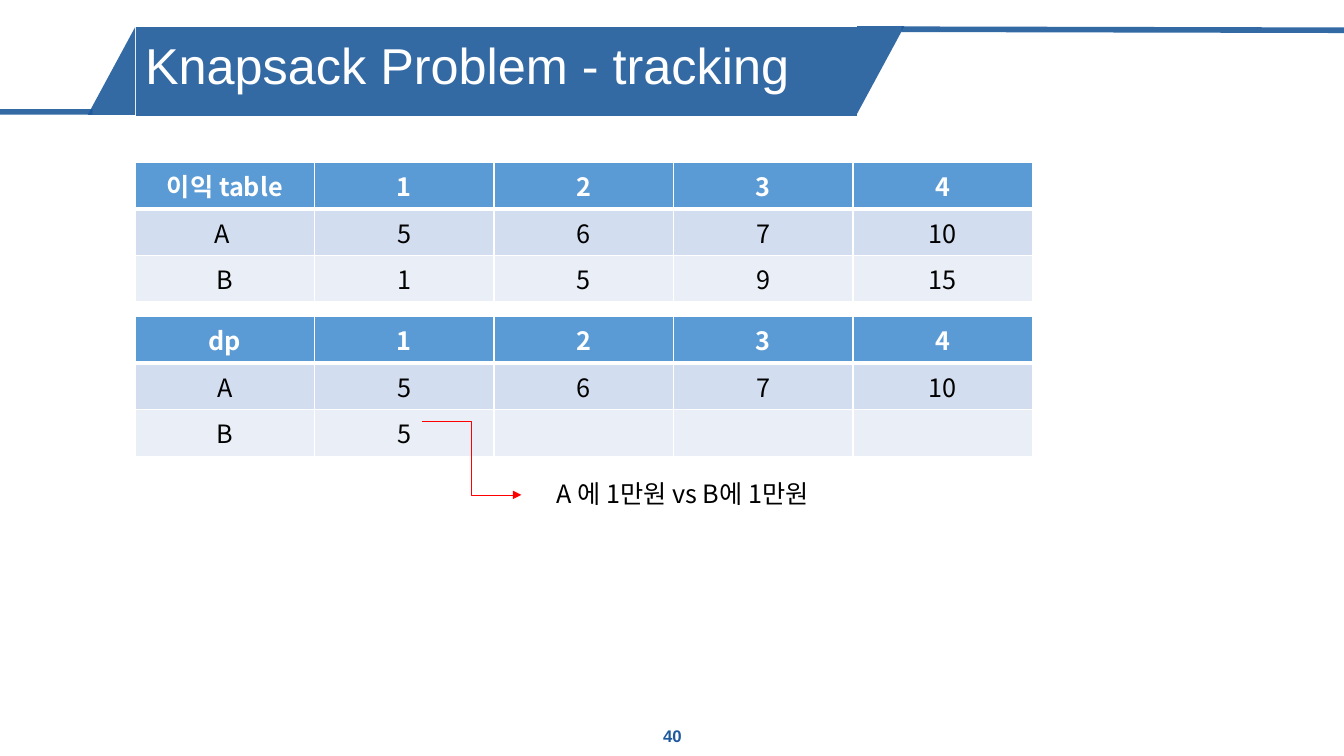
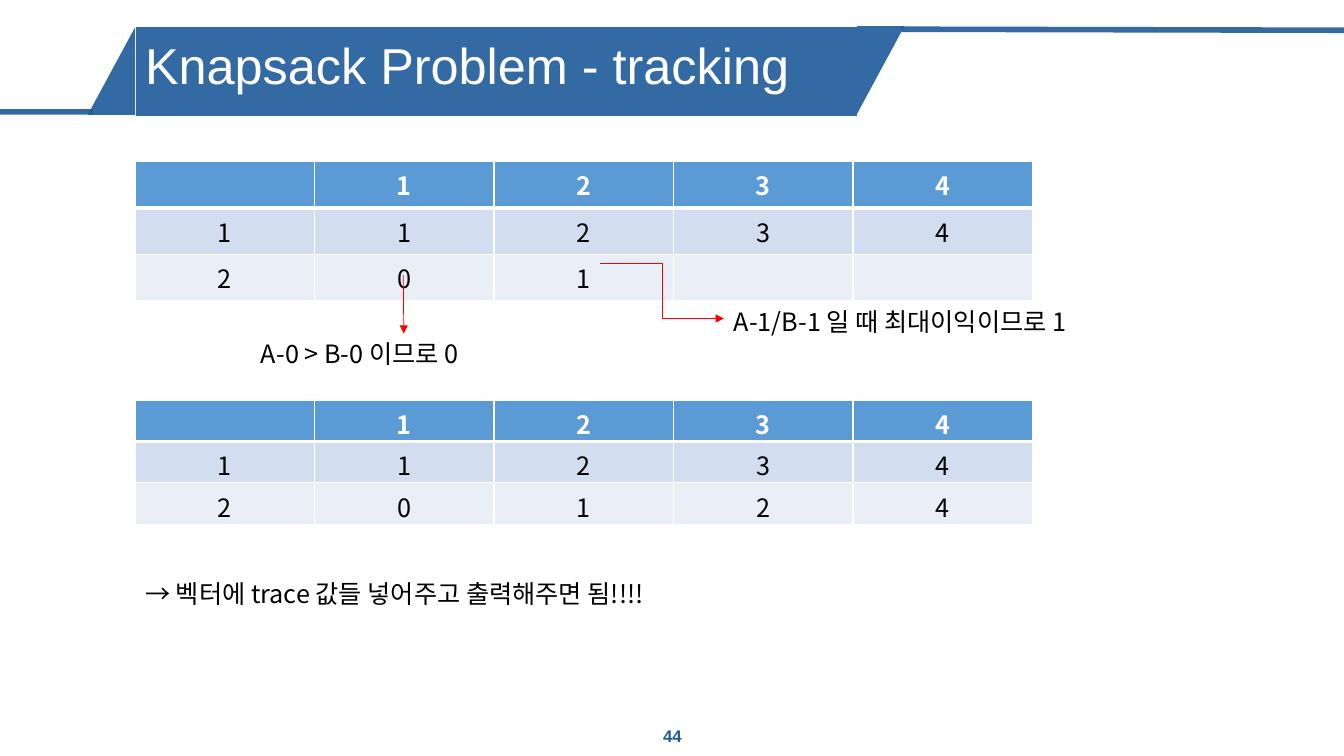
from lxml.etree import SubElement
from pptx import Presentation
from pptx.dml.color import RGBColor
from pptx.enum.shapes import MSO_CONNECTOR as Connector, MSO_SHAPE as Shape
from pptx.enum.text import MSO_ANCHOR as Anchor, MSO_AUTO_SIZE as AutoSize, PP_ALIGN as Align
from pptx.oxml.ns import qn
from pptx.util import Inches, Pt

BLUE = RGBColor(0x1E, 0x5A, 0x9B)
HEADER = RGBColor(0x5B, 0x9B, 0xD5)
BAND_DARK = RGBColor(0xD2, 0xDE, 0xEF)
BAND_LIGHT = RGBColor(0xEA, 0xEF, 0xF7)
RED = RGBColor(0xFF, 0x00, 0x00)
BLACK = RGBColor(0x00, 0x00, 0x00)
WHITE = RGBColor(0xFF, 0xFF, 0xFF)
TITLE_FONT = "Arial"
BODY_FONT = "Noto Sans CJK KR"
LEFT = 1.34
COLUMN_WIDTH = 1.78
ROW_HEIGHT = 0.41


class Deck:
    """Holds the shared style and the slide being built."""

    def __init__(self):
        self.presentation = Presentation()
        self.presentation.slide_width = Inches(13.33)
        self.presentation.slide_height = Inches(7.5)
        self.slide = None

    def add_slide(self, title, number):
        self.slide = self.presentation.slides.add_slide(self.presentation.slide_layouts[6])
        self.block(Shape.RIGHT_TRIANGLE, 8.3, 0.46, 0.87, 0.47, 90)
        self.band_line((0.92, 1.11), (-0.03, 1.11))
        self.block(Shape.RIGHT_TRIANGLE, 0.67, 0.47, 0.87, 0.47, 270)
        self.band_line((13.33, 0.3), (8.94, 0.29))
        self.block(Shape.RECTANGLE, 1.35, 0.27, 7.15, 0.88)
        self.label(number, 5.17, 7.1, 3, 0.4, size=12, font=TITLE_FONT, color=BLUE,
                   bold=True, align=Align.CENTER, anchor=Anchor.MIDDLE)
        heading = self.label(title, LEFT, 0.27, 7.15, 0.81, size=36, font=TITLE_FONT,
                             color=WHITE, anchor=Anchor.MIDDLE)
        heading.text_frame.paragraphs[0].line_spacing = 0.9

    def fade(self, shape):
        for color in shape._element.spPr.iter(qn("a:srgbClr")):
            SubElement(color, qn("a:alpha"), val="90000")

    def block(self, kind, left, top, width, height, rotation=0):
        shape = self.slide.shapes.add_shape(
            kind, Inches(left), Inches(top), Inches(width), Inches(height))
        shape.rotation = rotation
        shape.shadow.inherit = False
        shape.fill.solid()
        shape.fill.fore_color.rgb = BLUE
        shape.line.fill.background()
        self.fade(shape)

    def connector(self, kind, start, end, color, width):
        connector = self.slide.shapes.add_connector(
            kind, *(Inches(value) for value in (*start, *end)))
        connector.line.color.rgb = color
        connector.line.width = Pt(width)
        SubElement(connector._element.spPr, qn("a:effectLst"))
        return connector

    def band_line(self, start, end):
        self.fade(self.connector(Connector.STRAIGHT, start, end, BLUE, 4))

    def arrow(self, kind, start, end):
        connector = self.connector(kind, start, end, RED, 0.5)
        SubElement(connector.line._get_or_add_ln(), qn("a:tailEnd"), type="triangle")
        return connector

    def add_text(self, paragraph, text, size, font, color, bold):
        run = paragraph.add_run()
        run.text = text
        run.font.size = Pt(size)
        run.font.name = font
        run.font.bold = bold
        run.font.color.rgb = color
        SubElement(run._r.get_or_add_rPr(), qn("a:ea"), typeface=font)

    def label(self, text, left, top, width, height=0.4, size=18, font=BODY_FONT,
              color=BLACK, bold=False, align=Align.LEFT, anchor=Anchor.TOP):
        box = self.slide.shapes.add_textbox(
            Inches(left), Inches(top), Inches(width), Inches(height))
        frame = box.text_frame
        frame.word_wrap = True
        frame.vertical_anchor = anchor
        frame.auto_size = AutoSize.SHAPE_TO_FIT_TEXT if anchor == Anchor.TOP else AutoSize.NONE
        paragraph = frame.paragraphs[0]
        paragraph.alignment = align
        self.add_text(paragraph, text, size, font, color, bold)
        return box

    def border(self, cell, side, width):
        line = SubElement(cell._tc.get_or_add_tcPr(), qn(f"a:ln{side}"), w=str(Pt(width)))
        fill = SubElement(line, qn("a:solidFill"))
        SubElement(fill, qn("a:srgbClr"), val=str(WHITE))

    def table(self, top, rows, bottom_margin=0.05):
        count = len(rows[0])
        table = self.slide.shapes.add_table(
            len(rows), count, Inches(LEFT), Inches(top),
            Inches(COLUMN_WIDTH * count), Inches(ROW_HEIGHT * len(rows))).table
        for column in table.columns:
            column.width = Inches(COLUMN_WIDTH)
        for row_index, (row, fill) in enumerate(zip(rows, (HEADER, BAND_DARK, BAND_LIGHT))):
            table.rows[row_index].height = Inches(ROW_HEIGHT)
            is_header = row_index == 0
            widths = {"L": 1, "R": 1, "T": 3 if row_index == 1 else 1, "B": 3 if is_header else 1}
            for column_index, text in enumerate(row):
                cell = table.cell(row_index, column_index)
                cell.margin_bottom = Inches(bottom_margin)
                for side, width in widths.items():
                    self.border(cell, side, width)
                cell.fill.solid()
                cell.fill.fore_color.rgb = fill
                paragraph = cell.text_frame.paragraphs[0]
                paragraph.alignment = Align.CENTER
                if text:
                    self.add_text(paragraph, text, 18, BODY_FONT,
                                  WHITE if is_header else BLACK, is_header)


def main():
    deck = Deck()
    title = "Knapsack Problem - tracking"
    numbers = ["1", "2", "3", "4"]
    profit_a = ["5", "6", "7", "10"]

    deck.add_slide(title, "40")
    deck.table(1.61, [["이익 table", *numbers], ["A ", *profit_a], ["B", "1", "5", "9", "15"]])
    deck.table(3.14, [["dp", *numbers], ["A", *profit_a], ["B", "5", "", "", ""]])
    deck.arrow(Connector.ELBOW, (4.19, 4.18), (5.17, 4.91))
    deck.label("A 에 1만원 vs B에 1만원", 5.42, 4.7, 3.08)

    deck.add_slide(title, "44")
    trace = [["", *numbers], ["1", *numbers]]
    deck.table(1.6, [*trace, ["2", "0", "1", "", ""]])
    zero_arrow = deck.arrow(Connector.STRAIGHT, (4, 2.73), (4.01, 3.31))
    zero_note = deck.label("A-0 > B-0 이므로 0", 2.49, 3.31, 3.03)
    zero_arrow.end_connect(zero_note, 0)
    deck.arrow(Connector.ELBOW, (5.95, 2.61), (7.18, 3.16))
    deck.label("A-1/B-1 일 때 최대이익이므로 1", 7.18, 2.99, 4.01)
    deck.table(3.97, [*trace, ["2", "0", "1", "2", "4"]], bottom_margin=0)
    deck.label("→ 벡터에 trace 값들 넣어주고 출력해주면 됨!!!!", LEFT, 5.69, 9.33)

    deck.presentation.save("out.pptx")


if __name__ == "__main__":
    main()
